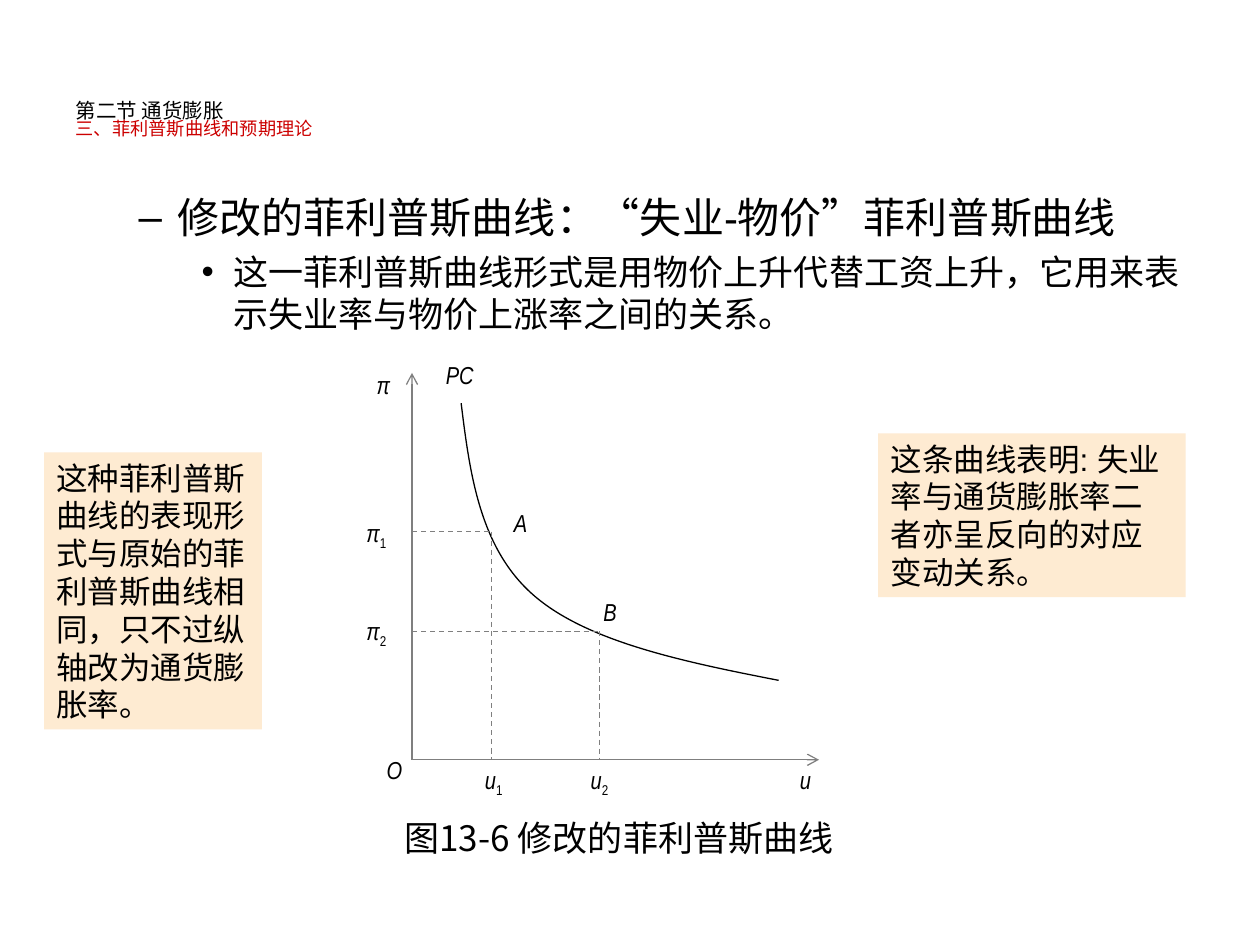
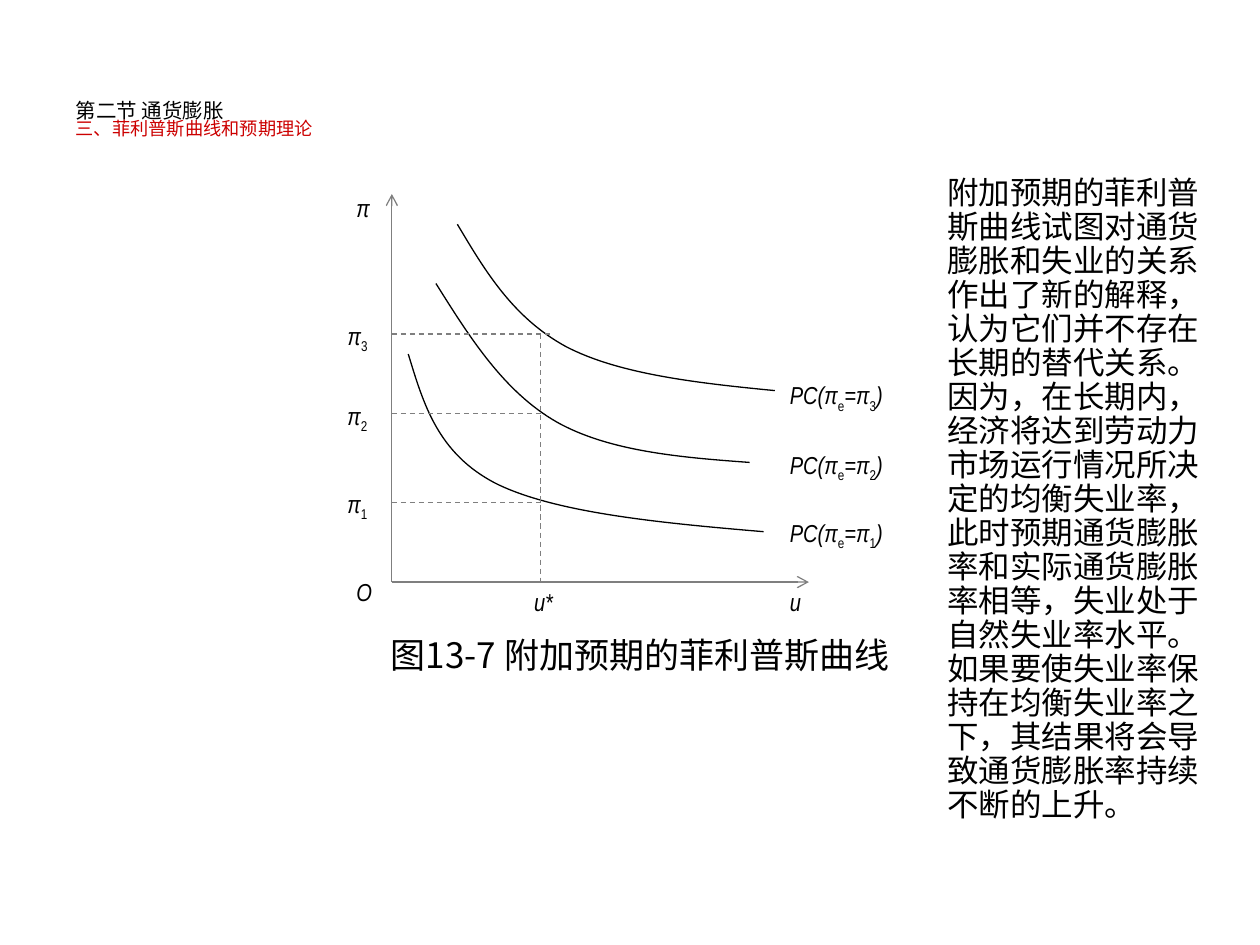
"""Build two slides on the modified and expectations-augmented Phillips curves."""
import lxml.etree
import pptx
import pptx.dml.color
import pptx.enum.dml
import pptx.enum.shapes
import pptx.enum.text
import pptx.oxml.ns
import pptx.util

Inches = pptx.util.Inches
Pt = pptx.util.Pt
RGBColor = pptx.dml.color.RGBColor

BLACK = RGBColor(0x00, 0x00, 0x00)
RED = RGBColor(0xCC, 0x00, 0x00)
GRAY = RGBColor(0x7F, 0x7F, 0x7F)
PEACH = RGBColor(0xFE, 0xEB, 0xD2)

CHINESE_FONT = "Noto Sans CJK SC"
TEXT_FONT = "Arial"
LABEL_FORMAT = {"name": "Arial Narrow", "size": Pt(14), "italic": True}
FRAME_FORMAT = {
    "word_wrap": True,
    "auto_size": pptx.enum.text.MSO_AUTO_SIZE.NONE,
    "vertical_anchor": pptx.enum.text.MSO_ANCHOR.TOP,
    "margin_left": Inches(0.1),
    "margin_right": Inches(0.1),
    "margin_top": Inches(0.05),
    "margin_bottom": Inches(0.05),
}
TITLE_BOX = (0.5, 0.52, 9, 0.94)
TITLE_LINES = [("第二节 通货膨胀", 11.7, BLACK), ("三、菲利普斯曲线和预期理论", 10.4, RED)]
PLAIN_HEIGHT, SUBSCRIPT_HEIGHT = 0.34, 0.37
LABEL_TAB = 0.84
EXPLANATION_INDENT = 1.5

MODIFIED_CURVE = {
    "layout": 1,
    "body_box": (0.5, 1.47, 9, 5.23),
    "body": [
        (1, "修改的菲利普斯曲线：“失业-物价”菲利普斯曲线", 24, 0),
        (2, "这一菲利普斯曲线形式是用物价上升代替工资上升，它用来表示失业率与物价上涨率之间的关系。", 20, 5),
    ],
    "caption": ("图13-6 修改的菲利普斯曲线", (3.05, 6.43, 4.14, 0.44)),
    "origin": (3.27, 6.03),
    "axis_ends": (6.5, 2.96),
    "curves": [
        [(3.66, 3.2), (3.73, 3.77), (3.81, 4.35), (4.23, 4.72),
         (4.65, 5.09), (5.41, 5.25), (6.18, 5.4)],
    ],
    "levels": [(3.9, 4.22), (4.76, 5.01)],
    "drops": [(3.9, 4.22), (4.76, 5.01)],
    "labels": [
        ("O", 2.97, 5.94, 0.47), ("u", 6.25, 6.02, 0.55), ("PC", 3.44, 2.81, 0.78),
        ("A", 3.98, 3.98, 0.55), ("B", 4.69, 4.69, 0.7), ("π", 2.89, 2.89, 0.7),
        ("π_1", 2.81, 4.06, 0.78), ("π_2", 2.81, 4.84, 0.78),
        ("u_1\tu_2", 3.75, 6.02, 1.33),
    ],
    "notes": [
        ("这条曲线表明: 失业率与通货膨胀率二者亦呈反向的对应变动关系。", (6.97, 3.44, 2.44, 1.3)),
        ("这种菲利普斯曲线的表现形式与原始的菲利普斯曲线相同，只不过纵轴改为通货膨胀率。",
         (0.35, 3.59, 1.73, 2.2)),
    ],
}

EXPECTATIONS_CURVE = {
    "layout": 5,
    "caption": ("图13-7 附加预期的菲利普斯曲线", (2.94, 4.98, 4.57, 0.77)),
    "origin": (3.11, 4.62),
    "axis_ends": (6.42, 1.54),
    "curves": [
        [(3.63, 1.78), (3.85, 2.15), (4.07, 2.52), (4.49, 2.75),
         (4.91, 2.97), (5.53, 3.04), (6.15, 3.1)],
        [(3.46, 2.25), (3.73, 2.68), (4, 3.11), (4.42, 3.35),
         (4.83, 3.58), (5.39, 3.63), (5.95, 3.67)],
        [(3.24, 2.81), (3.36, 3.2), (3.47, 3.6), (3.94, 3.84),
         (4.41, 4.07), (5.23, 4.15), (6.06, 4.22)],
    ],
    "levels": [(4.29, 3.99), (4.29, 3.28), (4.37, 2.65)],
    "drops": [(4.29, 2.65)],
    "labels": [
        ("O", 2.73, 4.53, 0.55), ("π", 2.73, 1.48, 0.39), ("u", 6.17, 4.61, 0.47),
        ("PC(π_e=π_2)", 6.17, 3.52, 1.95),
        ("PC(π_e=π_1)", 6.17, 4.06, 1.25),
        ("π_1", 2.66, 3.83, 0.86), ("π_2", 2.66, 3.13, 0.86), ("π_3", 2.66, 2.5, 0.39),
        ("u*", 4.14, 4.61, 0.7),
        ("PC(π_e=π_3)", 6.17, 2.97, 1.8),
    ],
    "explanation": (
        "附加预期的菲利普斯曲线试图对通货膨胀和失业的关系作出了新的解释，认为它们并不存在长期的替代关系。"
        "因为，在长期内，经济将达到劳动力市场运行情况所决定的均衡失业率，此时预期通货膨胀率和实际通货膨胀率相等，"
        "失业处于自然失业率水平。 如果要使失业率保持在均衡失业率之下，其结果将会导致通货膨胀率持续不断的上升。",
        (6.02, 1.39, 3.7, 5.16),
    ),
}


def apply(target, values):
    for name, value in values.items():
        setattr(target, name, value)


def place(shape, box):
    apply(shape, dict(zip(("left", "top", "width", "height"), map(Inches, box))))


def add_element(parent, tag, **attributes):
    return lxml.etree.SubElement(parent, pptx.oxml.ns.qn(tag), attributes)


def add_run(paragraph, text, values, color=BLACK):
    run = paragraph.add_run()
    run.text = text
    apply(run.font, values)
    run.font.color.rgb = color
    add_element(run._r.get_or_add_rPr(), "a:ea", typeface=CHINESE_FONT)
    return run


def write_paragraph(paragraph, text, size, font=TEXT_FONT, spacing=1.2):
    paragraph.line_spacing = Pt(round(size * spacing, 2))
    add_run(paragraph, text, {"name": font, "size": Pt(size)})


def add_text_box(slide, box):
    shape = slide.shapes.add_textbox(*map(Inches, box))
    apply(shape.text_frame, FRAME_FORMAT)
    return shape.text_frame


def add_title(slide):
    title = slide.shapes.title
    place(title, TITLE_BOX)
    apply(title.text_frame, {**FRAME_FORMAT, "margin_top": Inches(0.32)})
    paragraph = title.text_frame.paragraphs[0]
    apply(paragraph, {"alignment": pptx.enum.text.PP_ALIGN.LEFT, "line_spacing": Pt(9.5)})
    for index, (text, size, color) in enumerate(TITLE_LINES):
        if index:
            paragraph.add_line_break()
        add_run(paragraph, text, {"name": CHINESE_FONT, "size": Pt(size)}, color)


def add_body(slide, box, items):
    body = slide.placeholders[1]
    place(body, box)
    frame = body.text_frame
    apply(frame, FRAME_FORMAT)
    for index, (level, text, size, space) in enumerate(items):
        paragraph = frame.add_paragraph() if index else frame.paragraphs[0]
        apply(paragraph, {"level": level, "space_before": Pt(space)})
        write_paragraph(paragraph, text, size)


def add_line(slide, start, end, dashed=False):
    connector = slide.shapes.add_connector(
        pptx.enum.shapes.MSO_CONNECTOR.STRAIGHT, *map(Inches, start + end))
    connector.line.color.rgb = GRAY
    connector.line.width = Pt(0.75)
    if dashed:
        connector.line.dash_style = pptx.enum.dml.MSO_LINE.DASH
    else:
        add_element(connector.line._get_or_add_ln(), "a:tailEnd", type="arrow")
    add_element(connector._element.spPr, "a:effectLst")


def add_curve(slide, controls):
    start, *others = [tuple(map(Inches, point)) for point in controls]
    builder = slide.shapes.build_freeform(*start)
    builder.add_line_segments(others, close=False)
    curve = builder.convert_to_shape()
    outline = next(curve._element.iter(pptx.oxml.ns.qn("a:path")))
    segments = outline.findall(pptx.oxml.ns.qn("a:lnTo"))
    for first in range(0, len(segments), 3):
        bezier = add_element(outline, "a:cubicBezTo")
        for segment in segments[first:first + 3]:
            bezier.append(segment[0])
            outline.remove(segment)
    curve.fill.background()
    curve.line.color.rgb = BLACK
    curve.line.width = Pt(0.75)
    curve.shadow.inherit = False


def add_label(slide, text, left, top, width):
    height = SUBSCRIPT_HEIGHT if "_" in text else PLAIN_HEIGHT
    paragraph = add_text_box(slide, (left, top, width, height)).paragraphs[0]
    if "\t" in text:
        tabs = add_element(paragraph._p.get_or_add_pPr(), "a:tabLst")
        add_element(tabs, "a:tab", pos=str(Inches(LABEL_TAB)), algn="l")
    head, *rest = text.split("_")
    add_run(paragraph, head, LABEL_FORMAT)
    for piece in rest:
        subscript = add_run(paragraph, piece[0], {**LABEL_FORMAT, "italic": False})
        subscript._r.get_or_add_rPr().set("baseline", "-25000")
        if piece[1:]:
            add_run(paragraph, piece[1:], LABEL_FORMAT)


def add_caption(slide, text, box):
    frame = add_text_box(slide, box)
    frame.margin_left = Inches(0.16)
    write_paragraph(frame.paragraphs[0], text, 20, CHINESE_FONT)


def add_diagram(slide, content):
    origin_x, origin_y = content["origin"]
    axis_right, axis_top = content["axis_ends"]
    add_line(slide, content["origin"], (axis_right, origin_y))
    add_line(slide, content["origin"], (origin_x, axis_top))
    for controls in content["curves"]:
        add_curve(slide, controls)
    for x, y in content["levels"]:
        add_line(slide, (origin_x, y), (x, y), dashed=True)
    for x, y in content["drops"]:
        add_line(slide, (x, y), (x, origin_y), dashed=True)
    for label in content["labels"]:
        add_label(slide, *label)


def add_note(slide, text, box):
    note = slide.shapes.add_shape(
        pptx.enum.shapes.MSO_SHAPE.RECTANGLE, *map(Inches, box))
    note.shadow.inherit = False
    note.fill.solid()
    note.fill.fore_color.rgb = PEACH
    note.line.fill.background()
    apply(note.text_frame, FRAME_FORMAT)
    paragraph = note.text_frame.paragraphs[0]
    paragraph.alignment = pptx.enum.text.PP_ALIGN.LEFT
    write_paragraph(paragraph, text, 18)


def add_explanation(slide, text, box):
    frame = add_text_box(slide, box)
    apply(frame, {"margin_left": 0, "margin_right": 0,
                  "margin_top": Inches(0.01), "margin_bottom": Inches(0.01)})
    paragraph = frame.paragraphs[0]
    paragraph._p.get_or_add_pPr().set("marL", str(Inches(EXPLANATION_INDENT)))
    write_paragraph(paragraph, text, 18, spacing=1.08)


def main():
    presentation = pptx.Presentation()
    presentation.slide_width = Inches(10)
    presentation.slide_height = Inches(7.5)
    for content in (MODIFIED_CURVE, EXPECTATIONS_CURVE):
        slide = presentation.slides.add_slide(presentation.slide_layouts[content["layout"]])
        add_title(slide)
        if "body" in content:
            add_body(slide, content["body_box"], content["body"])
        add_caption(slide, *content["caption"])
        add_diagram(slide, content)
        for note in content.get("notes", []):
            add_note(slide, *note)
        if "explanation" in content:
            add_explanation(slide, *content["explanation"])
    presentation.save("out.pptx")


if __name__ == "__main__":
    main()
